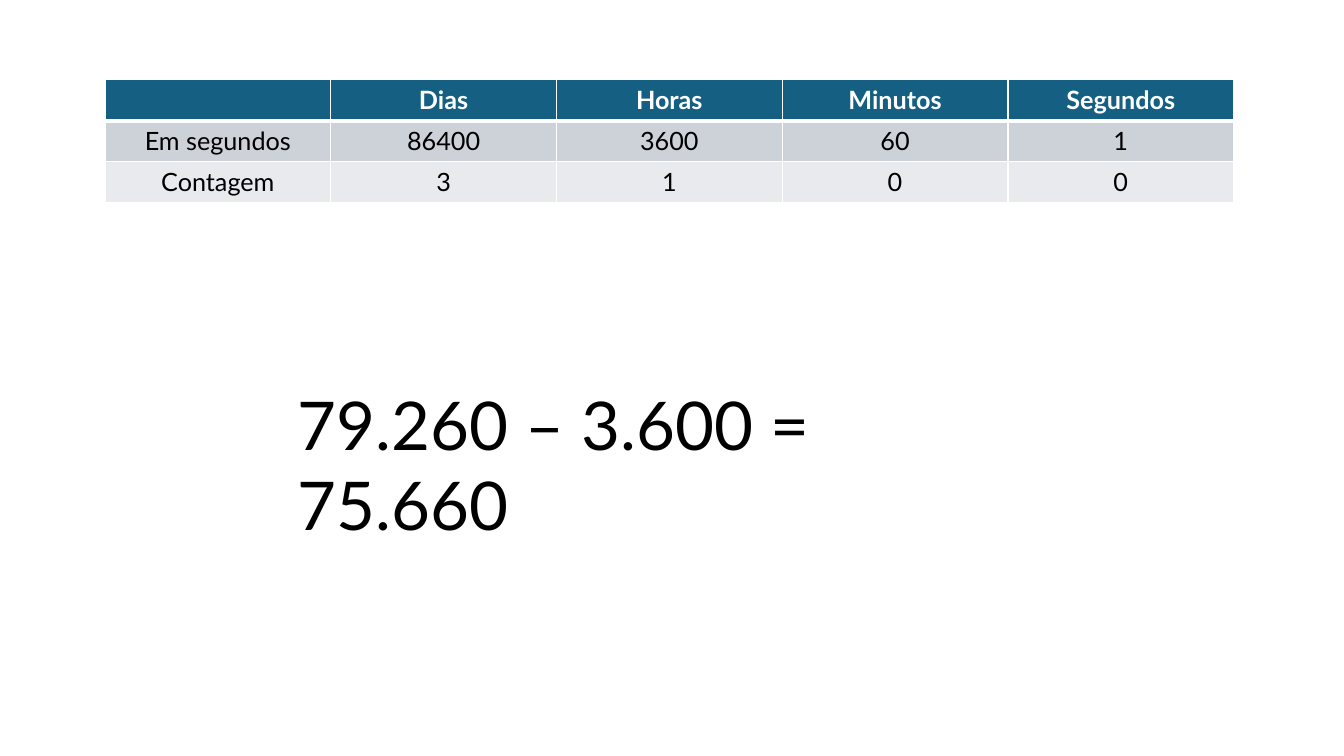
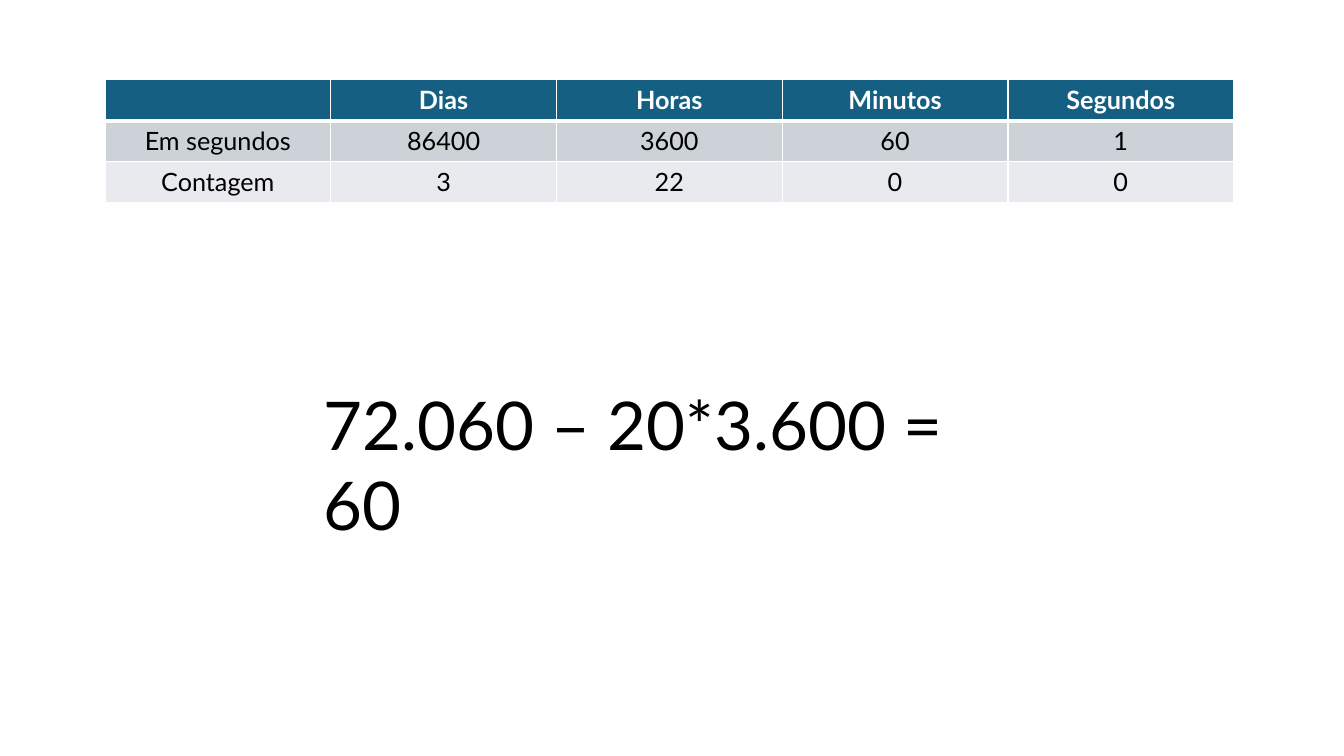
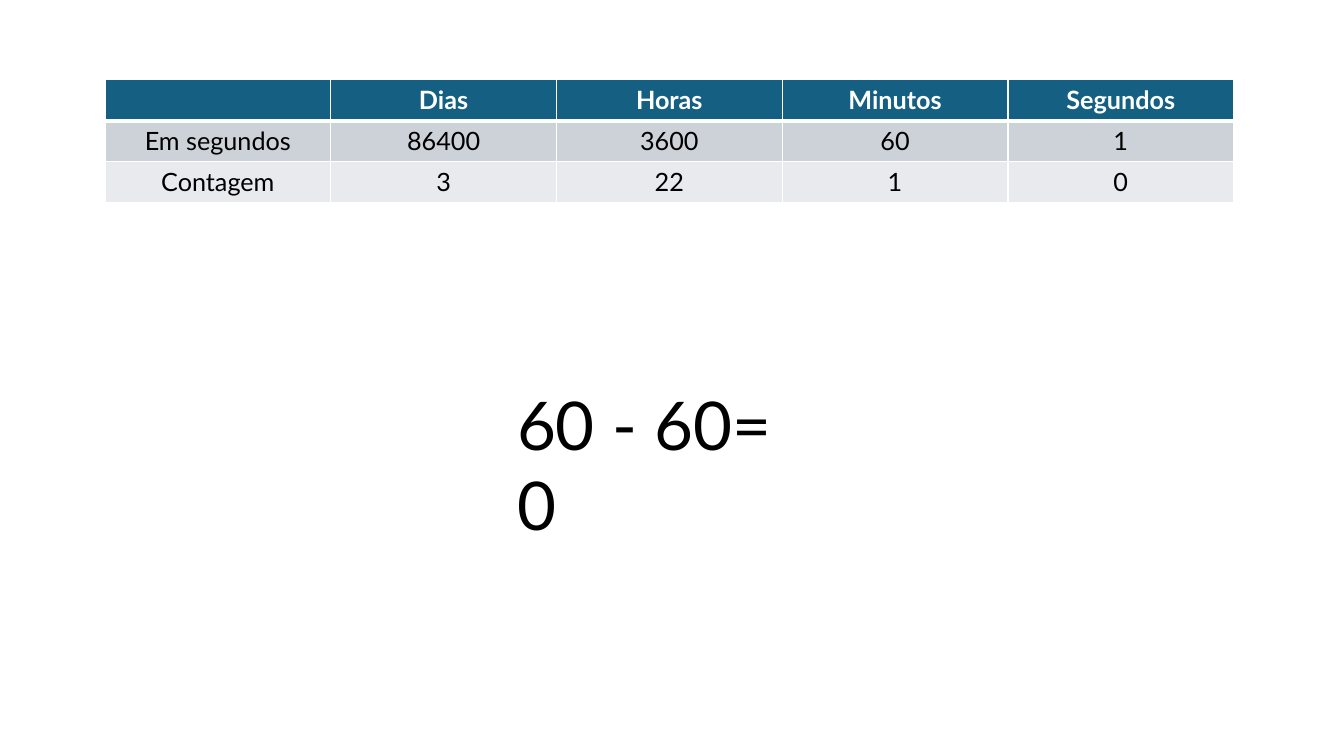
from lxml import etree
from pptx import Presentation
from pptx import util as u
from pptx.dml.color import RGBColor
from pptx.enum import text
from pptx.oxml import ns

PX = 9525
BLACK = RGBColor(0x00, 0x00, 0x00)
WHITE = RGBColor(0xFF, 0xFF, 0xFF)
TEAL = RGBColor(0x15, 0x60, 0x82)
GREY = RGBColor(0xCC, 0xD2, 0xD8)
PALE = RGBColor(0xE8, 0xEA, 0xED)

COLUMN_WIDTH, ROW_HEIGHT = 215, 39
HEADINGS = ["", "Dias", "Horas", "Minutos", "Segundos"]
UNITS = ["Em segundos", "86400", "3600", "60", "1"]
ROW_FILLS = [TEAL, GREY, PALE]
BORDERS = [
    {"lnL": 1, "lnR": 1, "lnT": 1, "lnB": 3},
    {"lnL": 1, "lnR": 1, "lnT": 3, "lnB": 1},
    {"lnL": 1, "lnR": 1, "lnT": 1, "lnB": 1},
]

HEADER_FONT = {"name": "Lato", "size": u.Pt(18), "bold": True}
CELL_FONT = {"name": "Lato", "size": u.Pt(18), "bold": False}
EQUATION_FONT = {"name": "Lato", "size": u.Pt(48), "bold": False}

STEPS = [
    ("79.260 – 3.600 = 75.660", 274, 675, ["3", "1", "0", "0"]),
    ("72.060 – 20*3.600 = 60", 299, 651, ["3", "22", "0", "0"]),
    ("60 - 60= 0", 483, 288, ["3", "22", "1", "0"]),
]


def write(paragraph, words, font_format, color):
    paragraph.text = words
    for name, value in font_format.items():
        setattr(paragraph.font, name, value)
    paragraph.font.color.rgb = color


def add_borders(cell, widths):
    properties = cell._tc.get_or_add_tcPr()
    for side, points in widths.items():
        line = etree.SubElement(properties, ns.qn("a:" + side), w=str(u.Pt(points)))
        fill = etree.SubElement(line, ns.qn("a:solidFill"))
        etree.SubElement(fill, ns.qn("a:srgbClr"), val=str(WHITE))


presentation = Presentation()
presentation.slide_width = 1280 * PX
presentation.slide_height = 720 * PX

for equation, left, width, counts in STEPS:
    slide = presentation.slides.add_slide(presentation.slide_layouts[6])

    equation_box = slide.shapes.add_textbox(left * PX, 360 * PX, width * PX, 87 * PX)
    frame = equation_box.text_frame
    frame.word_wrap = True
    frame.auto_size = text.MSO_AUTO_SIZE.SHAPE_TO_FIT_TEXT
    write(frame.paragraphs[0], equation, EQUATION_FONT, BLACK)

    rows = [HEADINGS, UNITS, ["Contagem"] + counts]
    table = slide.shapes.add_table(
        len(rows), len(HEADINGS), 100 * PX, 76 * PX,
        len(HEADINGS) * COLUMN_WIDTH * PX, len(rows) * ROW_HEIGHT * PX,
    ).table
    table.horz_banding = False

    for row_index, values in enumerate(rows):
        header = row_index == 0
        for column_index, value in enumerate(values):
            cell = table.cell(row_index, column_index)
            add_borders(cell, BORDERS[row_index])
            cell.fill.solid()
            cell.fill.fore_color.rgb = ROW_FILLS[row_index]
            paragraph = cell.text_frame.paragraphs[0]
            paragraph.alignment = text.PP_ALIGN.CENTER
            write(paragraph, value, HEADER_FONT if header else CELL_FONT,
                  WHITE if header else BLACK)

presentation.save("out.pptx")
